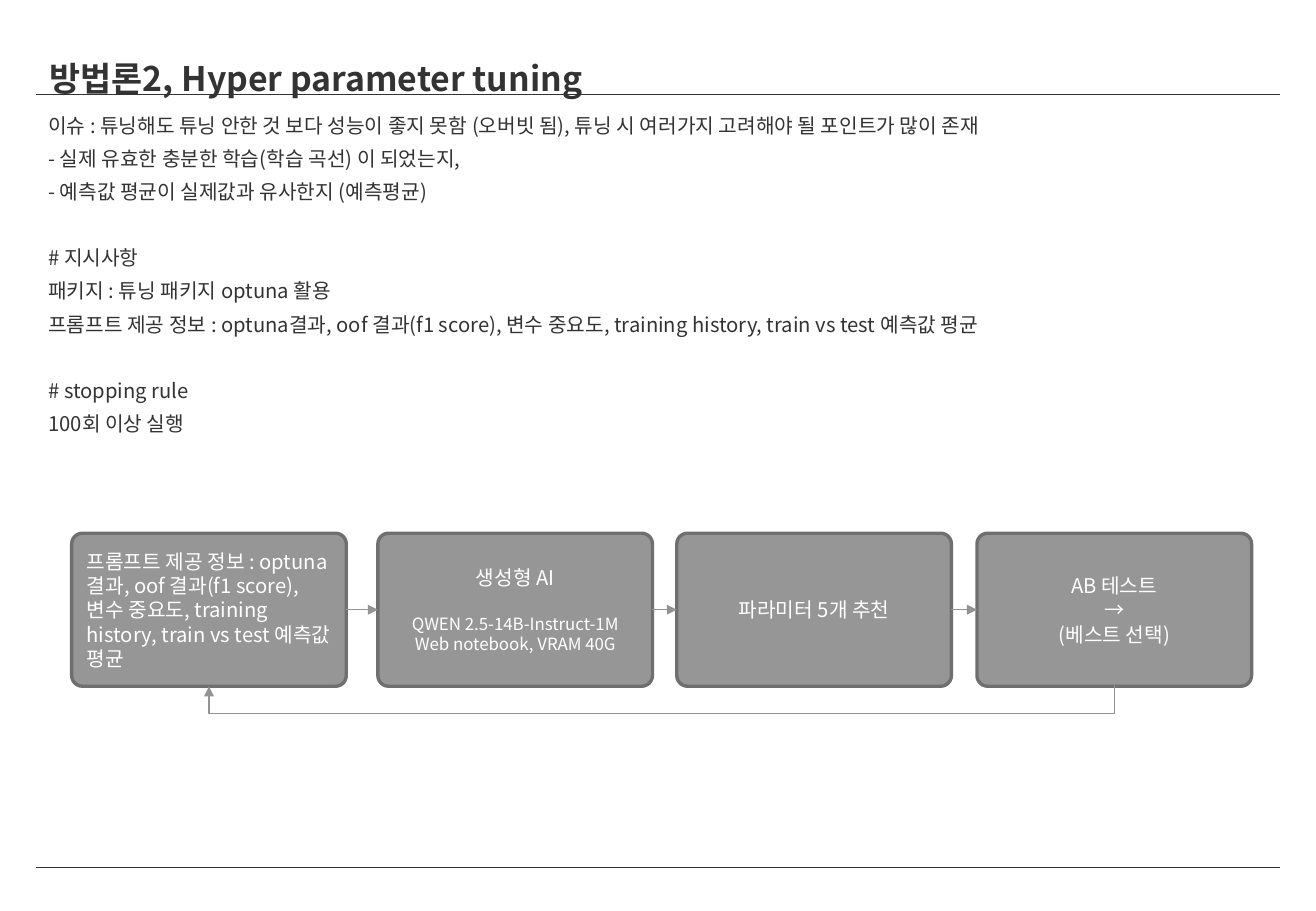
from pptx import Presentation
from pptx import util as u
from pptx.dml.color import RGBColor
from pptx.enum import shapes, text
from pptx.oxml.ns import qn
from lxml import etree

FONT = "Noto Sans CJK KR"
INK = {"dark": "333333", "box": "969696", "edge": "6F6F6F",
       "arrow": "939393", "white": "FFFFFF"}
PROMPT = ("프롬프트 제공 정보 : optuna결과, oof 결과(f1 score), "
          "변수 중요도, training history, train vs test 예측값 평균")

deck = Presentation()
deck.slide_width, deck.slide_height = u.Inches(10.83), u.Inches(7.5)
slide = deck.slides.add_slide(deck.slide_layouts[6])


def write(frame, line, size=12, color="white", bold=False, align="LEFT",
          space=None, before=0):
    para = frame.paragraphs[0]
    if para.runs:
        para = frame.add_paragraph()
    para.alignment = getattr(text.PP_ALIGN, align)
    if space:
        para.line_spacing = space
    if before:
        para.space_before = u.Pt(before)
    run = para.add_run()
    run.text = line
    run.font.name, run.font.size, run.font.bold = FONT, u.Pt(size), bold
    run.font.color.rgb = RGBColor.from_string(INK[color])
    east = etree.SubElement(run.font._element, qn("a:ea"))
    east.set("typeface", FONT)


def link(kind, ends, color, width, arrow=False):
    line = slide.shapes.add_connector(kind, *[u.Inches(n) for n in ends])
    line.line.color.rgb = RGBColor.from_string(INK[color])
    line.line.width = u.Pt(width)
    if arrow:
        tip = etree.SubElement(line.line._get_or_add_ln(), qn("a:tailEnd"))
        tip.set("type", "triangle")
    etree.SubElement(line._element.spPr, qn("a:effectLst"))
    return line


STRAIGHT = shapes.MSO_CONNECTOR.STRAIGHT
for y in (7.14, 0.78):
    link(STRAIGHT, (0.3, y, 10.53, y), "dark", 0.5)

title = slide.shapes.add_textbox(u.Inches(0.31), u.Inches(0.41),
                                 u.Inches(9.68), u.Inches(0.3)).text_frame
title.word_wrap = True
title.vertical_anchor = text.MSO_ANCHOR.MIDDLE
write(title, "방법론2, Hyper parameter tuning", size=20, color="dark",
      bold=True, space=1.5)

body = slide.shapes.add_textbox(u.Inches(0.3), u.Inches(0.84),
                                u.Inches(10.24), u.Inches(2.76)).text_frame
body.word_wrap = True
NEAR, FAR = 2.4, 22
notes = [
    ("이슈 : 튜닝해도 튜닝 안한 것 보다 성능이 좋지 못함 (오버빗 됨), "
     "튜닝 시 여러가지 고려해야 될 포인트가 많이 존재", 0),
    ("- 실제 유효한 충분한 학습(학습 곡선) 이 되었는지,", NEAR),
    ("- 예측값 평균이 실제값과 유사한지 (예측평균)", NEAR),
    ("# 지시사항", FAR),
    ("패키지 : 튜닝 패키지 optuna 활용", NEAR),
    (PROMPT, NEAR),
    ("# stopping rule", FAR),
    ("100회 이상 실행", NEAR),
]
for line, gap in notes:
    write(body, line, color="dark", space=1.2, before=gap)

steps = [
    (0.59, "LEFT", [(PROMPT, 12, 0)]),
    (3.11, "CENTER", [("생성형 AI", 12, 0),
                      ("QWEN 2.5-14B-Instruct-1M", 10, 14.4),
                      ("Web notebook, VRAM 40G", 10, 0)]),
    (5.57, "CENTER", [("파라미터 5개 추천", 12, 0)]),
    (8.04, "CENTER", [("AB 테스트", 12, 0), ("→", 12, 0),
                      ("(베스트 선택)", 12, 0)]),
]
boxes = []
for x, align, lines in steps:
    box = slide.shapes.add_shape(shapes.MSO_SHAPE.ROUNDED_RECTANGLE,
                                 u.Inches(x), u.Inches(4.39),
                                 u.Inches(2.26), u.Inches(1.26))
    box.adjustments[0] = 0.07
    box.shadow.inherit = False
    box.fill.solid()
    box.fill.fore_color.rgb = RGBColor.from_string(INK["box"])
    box.line.color.rgb = RGBColor.from_string(INK["edge"])
    box.line.width = u.Pt(2)
    box.text_frame.word_wrap = True
    box.text_frame.vertical_anchor = text.MSO_ANCHOR.MIDDLE
    for line, size, gap in lines:
        write(box.text_frame, line, size=size, align=align, before=gap)
    boxes.append(box)

for left, right in zip(boxes, boxes[1:]):
    arrow = link(STRAIGHT, (0, 0, 1, 1), "arrow", 0.75, arrow=True)
    arrow.begin_connect(left, 3)
    arrow.end_connect(right, 1)

loop = link(shapes.MSO_CONNECTOR.ELBOW, (0, 0, 1, 1), "arrow", 0.75, arrow=True)
loop.begin_connect(boxes[-1], 2)
loop.end_connect(boxes[0], 2)
loop.left, loop.top = u.Inches(5.44), u.Inches(1.92)
loop.width, loop.height = u.Inches(0.01), u.Inches(7.45)
frame = loop._element.spPr.find(qn("a:xfrm"))
frame.attrib.clear()
frame.set("rot", "5400000")
bend = etree.SubElement(loop._element.spPr.find(qn("a:prstGeom")).find(qn("a:avLst")),
                        qn("a:gd"))
bend.set("name", "adj1")
bend.set("fmla", "val 2400000")

deck.save("out.pptx")
